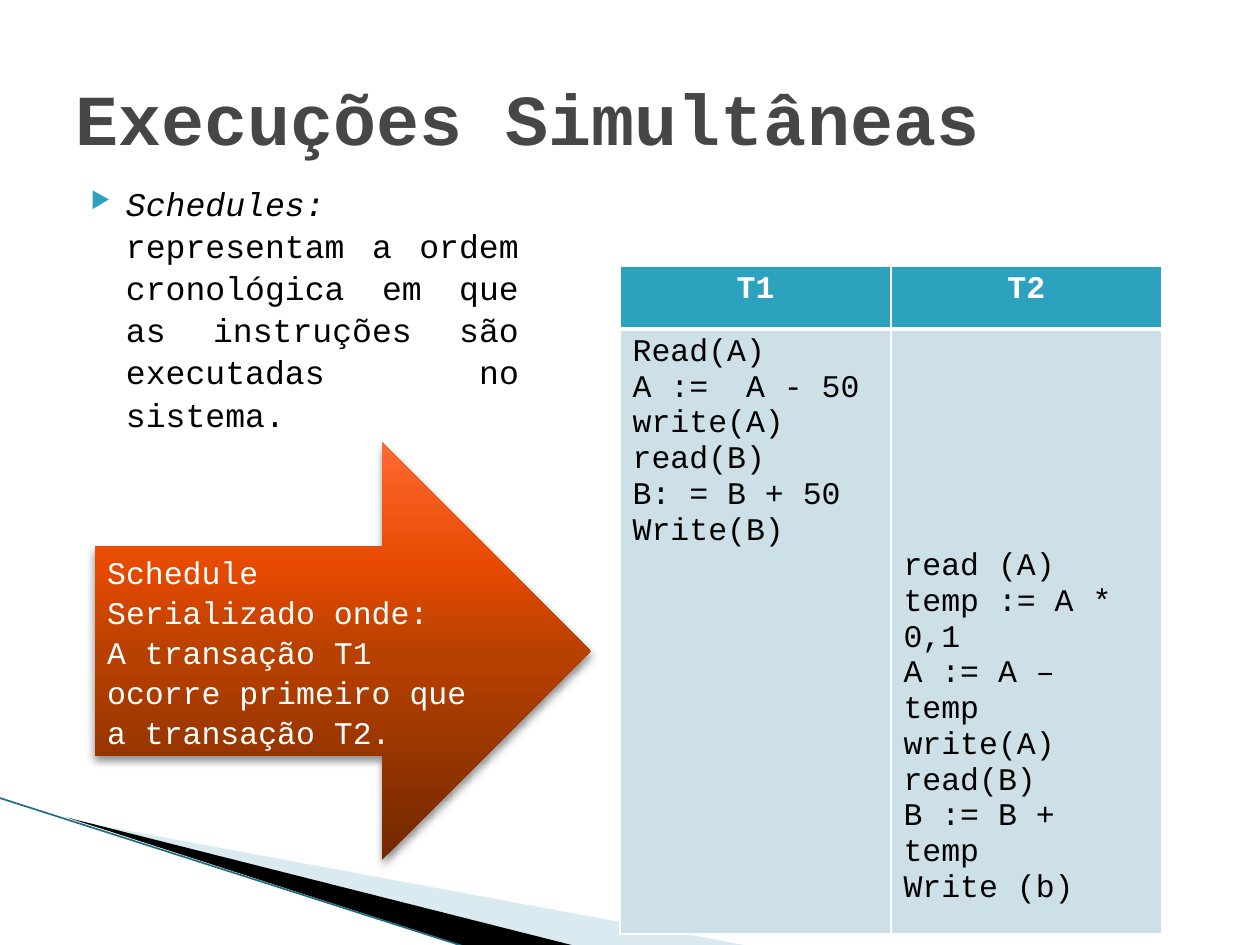
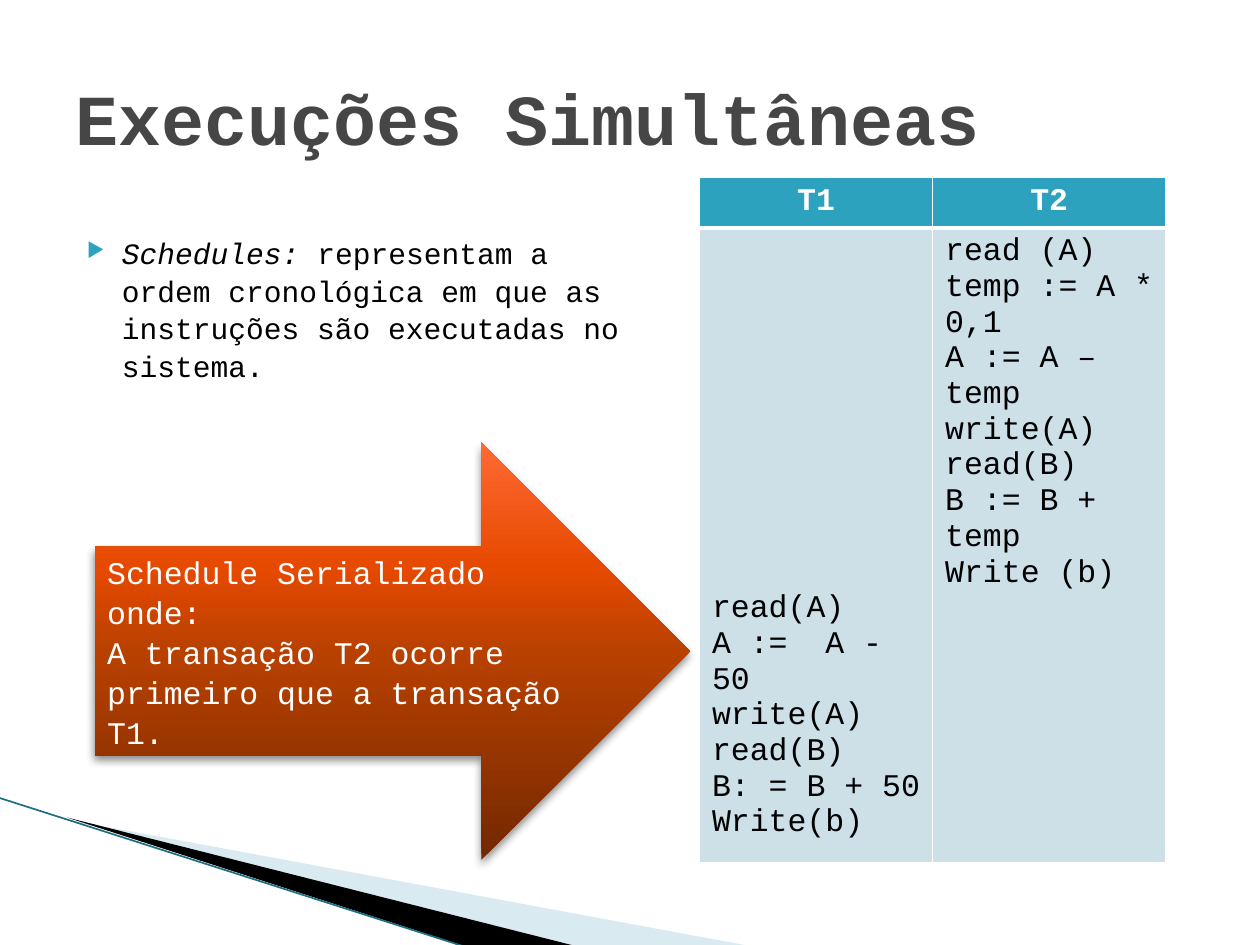
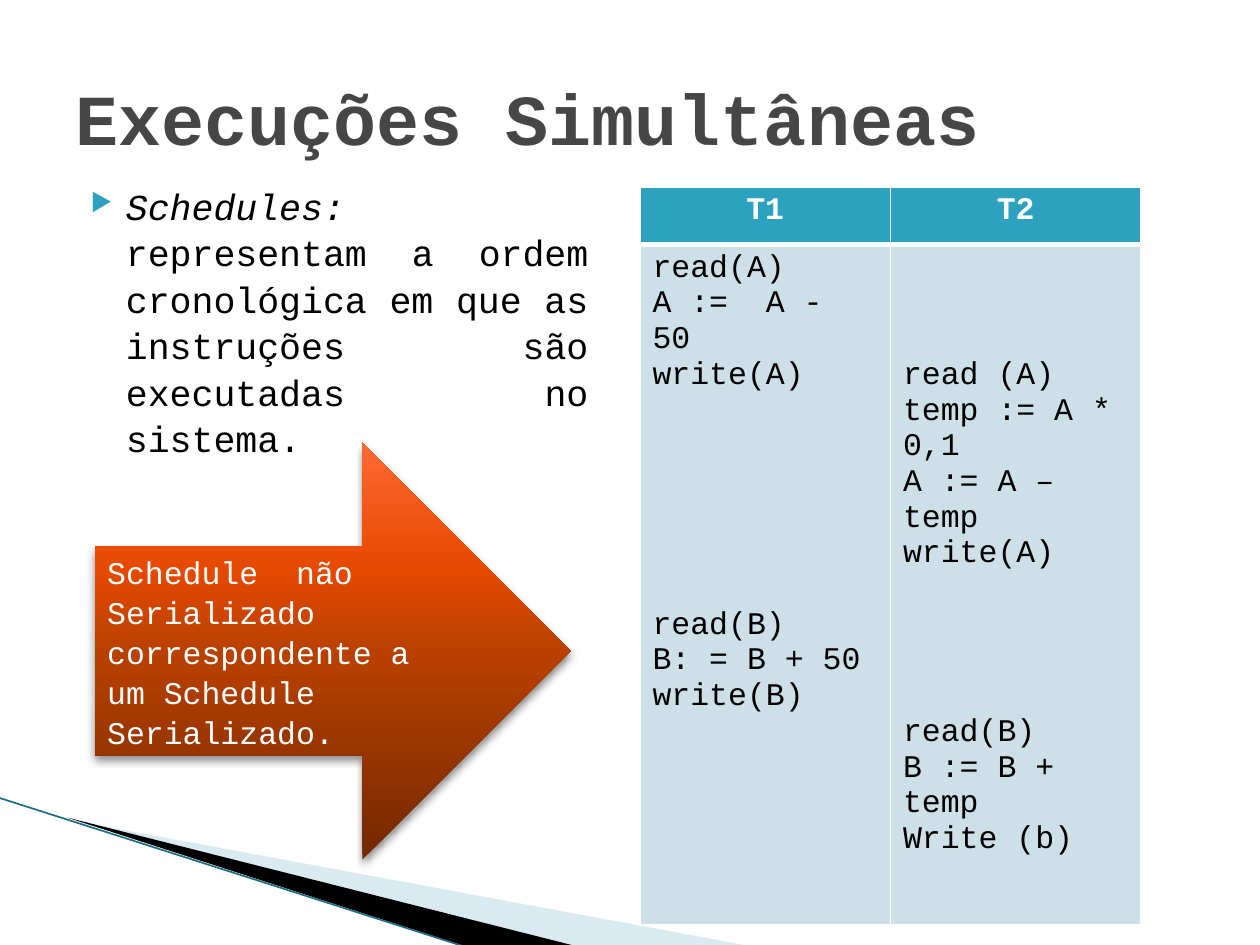
from dataclasses import dataclass

from lxml.etree import SubElement as Sub
from pptx import Presentation
from pptx.dml.color import RGBColor as Rgb
from pptx.enum.shapes import MSO_CONNECTOR as Link, MSO_SHAPE as Kind
from pptx.enum.text import MSO_ANCHOR as Anchor, PP_ALIGN as Align
from pptx.oxml.ns import qn
from pptx.util import Cm, Pt


@dataclass(frozen=True)
class Theme:
    font: str = "Courier New"
    ink: str = "000000"
    white: str = "FFFFFF"
    title: str = "464646"
    teal: str = "2DA2BF"
    cell: str = "CDE0E8"
    pale: str = "A0CBDC"
    edge: str = "1B6E84"
    heat: tuple = ((0, "732800"), (50, "B94100"), (70, "E64900"), (100, "FF6933"))
    big: float = 41
    base: float = 18
    row: float = 20.4    # height of one line of base text, in points
    loose: float = 1.06


T = Theme()

READ_T1 = ["A :=  A - 50", "write(A)"]
ADD_T1 = ["read(B)", "B: = B + 50"]
READ_T2 = ["read (A)", "temp := A * 0,1", "A := A – temp", "write(A)"]
ADD_T2 = ["read(B)", "B := B + temp", "Write (b)"]


def node(root, tag, **attrs):
    item = Sub(root, qn(tag))
    for key, val in attrs.items():
        item.set(key, str(val))
    return item


def tint(root, color, alpha=None):
    item = node(root, "a:srgbClr", val=color)
    if alpha:
        node(item, "a:alpha", val=alpha * 1000)


def put(frame, lines, size=T.base, color=T.ink, bold=False,
        align=Align.LEFT, space=None, before=0):
    """Write paragraphs; a number among the lines leaves that many rows free.

    A line is a string or a list of (text, italic) pairs.
    """
    frame.word_wrap = True
    para, skip = None, 0
    for line in lines:
        if isinstance(line, int):
            skip = line
            continue
        para = frame.add_paragraph() if para else frame.paragraphs[0]
        para.alignment = align
        para.space_before = Pt(before + skip * T.row)
        if space:
            para.line_spacing = space
        skip = 0
        for text, slant in [(line, False)] if isinstance(line, str) else line:
            run = para.add_run()
            run.text = text
            font = run.font
            font.name, font.size = T.font, Pt(size)
            font.bold, font.italic = bold, slant
            font.color.rgb = Rgb.from_string(color)


def wedge(slide, points, color, alpha=None):
    (left, top), *rest = [(Cm(x), Cm(y)) for x, y in points]
    form = slide.shapes.build_freeform(left, top)
    form.add_line_segments(rest)
    shape = form.convert_to_shape()
    shape.shadow.inherit = False
    shape.line.fill.background()
    shape.fill.solid()
    shape.fill.fore_color.rgb = Rgb.from_string(color)
    if alpha:
        clr = shape._element.spPr.find(qn("a:solidFill"))[0]
        node(clr, "a:alpha", val=alpha * 1000)


def frame(slide):
    """Draw the corner sweep and the title that all slides share."""
    wedge(slide, [(1.4, 16.53), (15.11, 19.07), (11.58, 19.07)], T.pale, 40)
    wedge(slide, [(1.35, 16.48), (11.6, 19.07), (9.45, 19.1)], T.ink)
    line = slide.shapes.add_connector(
        Link.STRAIGHT, Cm(-0.03), Cm(16.08), Cm(9.42), Cm(19.1))
    line.line.width = Pt(0.95)
    line.line.color.rgb = Rgb.from_string(T.edge)
    node(line._element.spPr, "a:effectLst")
    box = slide.shapes.add_textbox(Cm(1.27), Cm(0.76), Cm(22.86), Cm(3.18))
    box.text_frame.vertical_anchor = Anchor.MIDDLE
    put(box.text_frame, ["Execuções Simultâneas"],
        size=T.big, color=T.title, bold=True)


def point(slide, left, top, wide, high, size, align):
    box = slide.shapes.add_textbox(Cm(left), Cm(top), Cm(wide), Cm(high))
    text = [("Schedules: ", True),
            ("representam a ordem cronológica em que as instruções "
             "são executadas no sistema.", False)]
    put(box.text_frame, [text], size=size, align=align,
        space=T.loose, before=4)
    props = box.text_frame.paragraphs[0]._p.get_or_add_pPr()
    props.set("marL", str(Cm(1.02)))
    props.set("indent", str(Cm(-0.71)))
    tint(node(props, "a:buClr"), T.teal)
    node(props, "a:buSzPct", val=68000)
    node(props, "a:buChar", char="▶")


def arrow(slide, wide, lines):
    shape = slide.shapes.add_shape(
        Kind.RIGHT_ARROW, Cm(1.91), Cm(8.92), Cm(wide), Cm(8.41))
    shape.line.fill.background()
    props = shape._element.spPr
    grad = node(props, "a:gradFill", rotWithShape=1)
    stops = node(grad, "a:gsLst")
    for pos, color in T.heat:
        tint(node(stops, "a:gs", pos=pos * 1000), color)
    node(grad, "a:lin", ang=270 * 60000, scaled=0)
    props.insert(2, grad)
    glow = node(node(props, "a:effectLst"), "a:outerShdw", blurRad=Pt(5),
                dist=Pt(3), dir=90 * 60000, rotWithShape=0)
    tint(glow, T.ink, 45)
    shape.text_frame.vertical_anchor = Anchor.MIDDLE
    put(shape.text_frame, lines, color=T.white, space=T.loose)


def paint(cell, color, base):
    """Set white borders, the lowest one base points wide, and the fill."""
    props = cell._tc.get_or_add_tcPr()
    for side, width in (("L", 1), ("R", 1), ("T", 1), ("B", base)):
        edge = node(props, "a:ln" + side, w=Pt(width))
        tint(node(edge, "a:solidFill"), T.white)
    cell.fill.solid()
    cell.fill.fore_color.rgb = Rgb.from_string(color)


def grid(slide, left, top, col, rows, codes):
    """Draw the T1 and T2 columns; codes holds the lines of each."""
    table = slide.shapes.add_table(
        2, 2, Cm(left), Cm(top), Cm(2 * col), Cm(sum(rows))).table
    for row, high in zip(table.rows, rows):
        row.height = Cm(high)
    for num, code in enumerate(codes):
        table.columns[num].width = Cm(col)
        head, body = table.cell(0, num), table.cell(1, num)
        paint(head, T.teal, 3)
        put(head.text_frame, [f"T{num + 1}"],
            color=T.white, bold=True, align=Align.CENTER)
        paint(body, T.cell, 1)
        if isinstance(code[0], int):
            body.margin_top = Cm(0.13) + Pt(code[0] * T.row)
            code = code[1:]
        put(body.text_frame, code)


def main():
    deck = Presentation()
    deck.slide_width, deck.slide_height = Cm(25.4), Cm(19.05)

    def page():
        slide = deck.slides.add_slide(deck.slide_layouts[6])
        frame(slide)
        return slide

    serial = "Schedule Serializado onde:"

    first = page()
    point(first, 1.27, 3.53, 9.45, 3.61, 18.9, Align.JUSTIFY)
    grid(first, 12.5, 5.36, 5.46, (1.27, 11.82),
         (["Read(A)", *READ_T1, *ADD_T1, "Write(B)"],
          [6, *READ_T2, *ADD_T2]))
    arrow(first, 10.0, [
        serial, "A transação T1 ocorre primeiro que a transação T2."])

    second = page()
    point(second, 1.19, 4.57, 12.01, 2.77, 16.9, Align.LEFT)
    grid(second, 14.1, 3.58, 4.7, (0.97, 12.49),
         ([10, "read(A)", *READ_T1, *ADD_T1, "Write(b)"],
          [*READ_T2, *ADD_T2]))
    arrow(second, 12.0, [
        serial, "A transação T2 ocorre primeiro que a transação T1."])

    third = page()
    point(third, 1.27, 3.53, 10.85, 3.23, 20.9, Align.JUSTIFY)
    grid(third, 12.9, 3.77, 5.05, (1.16, 13.72),
         (["read(A)", *READ_T1, 6, *ADD_T1, "write(B)"],
          [3, *READ_T2, 4, *ADD_T2]))
    arrow(third, 9.6, ["Schedule  não Serializado correspondente a "
                       "um Schedule Serializado."])

    deck.save("out.pptx")


if __name__ == "__main__":
    main()
